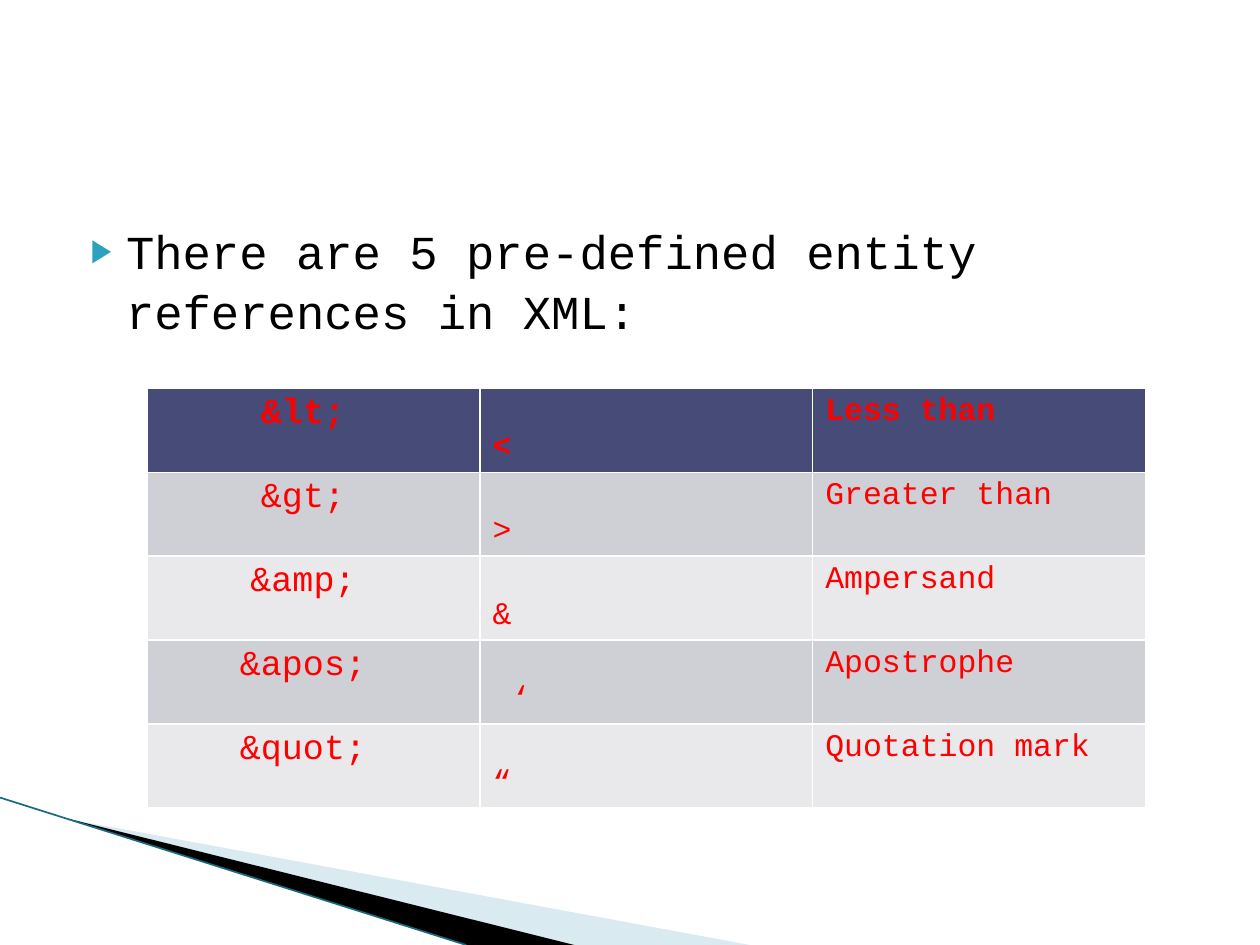
from lxml import etree
from pptx import Presentation
from pptx import util as u
from pptx.dml.color import RGBColor
from pptx.enum import shapes, text
from pptx.oxml import ns

WIDE, HIGH = u.Inches(10), u.Inches(7.5)
FACE = "Courier New"
BLACK = RGBColor(0x00, 0x00, 0x00)
RED = RGBColor(0xFF, 0x00, 0x00)
PALE = RGBColor(0xA0, 0xCB, 0xDC)
TEAL = RGBColor(0x17, 0x6B, 0x80)
AQUA = RGBColor(0x2D, 0xA2, 0xBF)
NAVY = RGBColor(0x47, 0x4B, 0x78)
BANDS = RGBColor(0xCF, 0xD0, 0xD6), RGBColor(0xE9, 0xE9, 0xEC)
CODES = (
    ("&lt;", "<", "Less than"),
    ("&gt;", ">", "Greater than"),
    ("&amp;", "&", "Ampersand"),
    ("&apos;", "‘", "Apostrophe"),
    ("&quot;", "“", "Quotation mark"),
)
COLS = (
    dict(margin_right=u.Inches(0.27)),
    dict(vertical_anchor=text.MSO_ANCHOR.BOTTOM),
    dict(),
)


def spot(x, y):
    """Turn shares of the slide's size into a point."""
    return int(x * WIDE), int(y * HIGH)


def put(item, **form):
    """Set each format value on the item."""
    for name, val in form.items():
        setattr(item, name, val)


def ink(font, size, color, bold=False):
    """Set size, colour and weight in the slide's typeface."""
    put(font, name=FACE, size=u.Pt(size), bold=bold)
    font.color.rgb = color


def sub(node, tag, **attrs):
    """Add a DrawingML element to a node."""
    return etree.SubElement(node, ns.qn("a:" + tag), **attrs)


def wedge(slide, points, color, alpha=None):
    """Draw a filled outline through the points."""
    first, *rest = [spot(*point) for point in points]
    path = slide.shapes.build_freeform(*first)
    path.add_line_segments(rest, close=True)
    shape = path.convert_to_shape()
    shape.shadow.inherit = False
    shape.fill.solid()
    shape.fill.fore_color.rgb = color
    shape.line.fill.background()
    if alpha:
        tone = shape._element.spPr.find(".//" + ns.qn("a:srgbClr"))
        sub(tone, "alpha", val=str(alpha * 1000))


def edge(slide, start, end):
    """Draw the thin line along the wedges."""
    line = slide.shapes.add_connector(
        shapes.MSO_CONNECTOR.STRAIGHT, *spot(*start), *spot(*end))
    line.line.color.rgb = TEAL
    line.line.width = u.Pt(0.95)
    sub(line._element.spPr, "effectLst")


def lead(slide, words):
    """Fill the body placeholder with one bulleted line."""
    body = slide.placeholders[1]
    slide.shapes._spTree.append(body._element)
    left, top = spot(0.05, 0.216)
    wide, high = spot(0.9, 0.66)
    put(body, left=left, top=top, width=wide, height=high)
    frame = body.text_frame
    put(frame, text=words, word_wrap=True, margin_top=u.Inches(0.11),
        auto_size=text.MSO_AUTO_SIZE.NONE)
    para = frame.paragraphs[0]
    props = para._p.get_or_add_pPr()
    props.set("marL", str(u.Inches(0.4)))
    props.set("indent", str(u.Inches(-0.28)))
    sub(sub(props, "buClr"), "srgbClr", val=str(AQUA))
    sub(props, "buSzPct", val="68000")
    sub(props, "buChar", char="▶")
    put(para, space_before=u.Pt(0), line_spacing=1.07)
    ink(para.runs[0].font, 27, BLACK)


def grid(slide, rows):
    """Build the table of entity references."""
    table = slide.shapes.add_table(
        len(rows), len(COLS), *spot(0.117, 0.411), *spot(0.792, 0.444)).table
    for r, row in enumerate(rows):
        for c, words in enumerate(row):
            cell = table.cell(r, c)
            put(cell, text=words, **COLS[c])
            cell.fill.solid()
            cell.fill.fore_color.rgb = BANDS[(r - 1) % 2] if r else NAVY
            para = cell.text_frame.paragraphs[0]
            if c == 0:
                para.alignment = text.PP_ALIGN.CENTER
            ink(para.runs[0].font, 18 if c else 20, RED, r == 0)
    table.cell(3, 1).margin_left = u.Inches(0.25)


def main():
    """Build and save the slide."""
    deck = Presentation()
    put(deck, slide_width=WIDE, slide_height=HIGH)
    slide = deck.slides.add_slide(deck.slide_layouts[1])
    title = slide.shapes.title._element
    title.getparent().remove(title)
    wedge(slide, ((0.055, 0.867), (0.595, 1), (0.456, 1)), PALE, 40)
    wedge(slide, ((0.053, 0.866), (0.456, 1), (0.37, 1)), BLACK)
    edge(slide, (0, 0.844), (0.37, 1))
    lead(slide, "There are 5 pre-defined entity references in XML:")
    grid(slide, CODES)
    deck.save("out.pptx")


if __name__ == "__main__":
    main()
